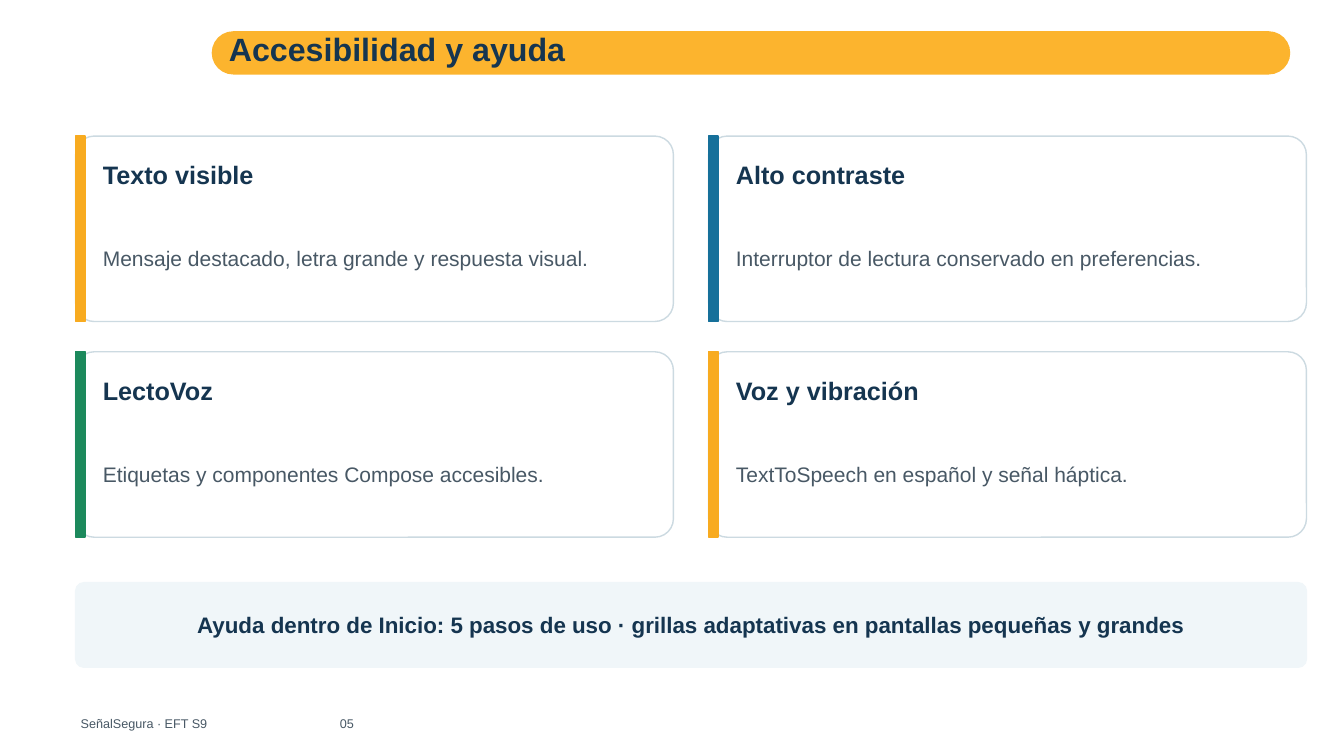
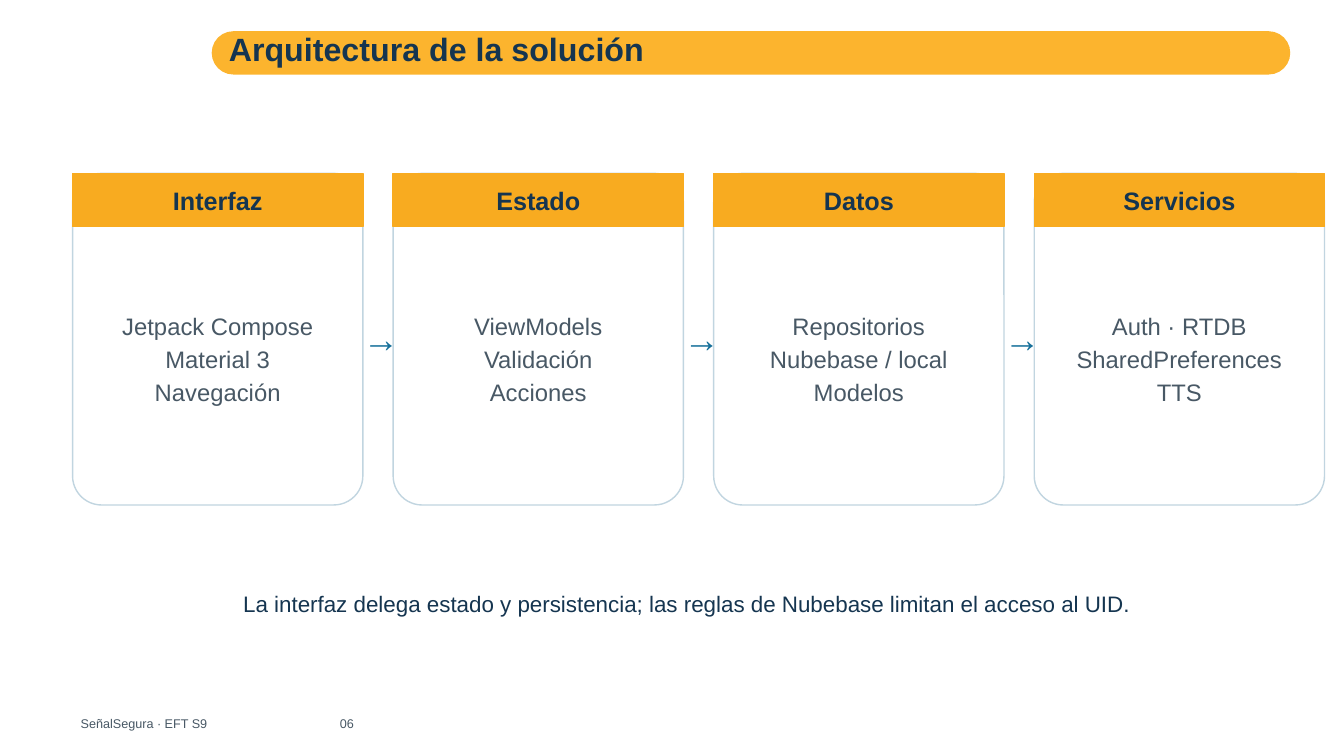
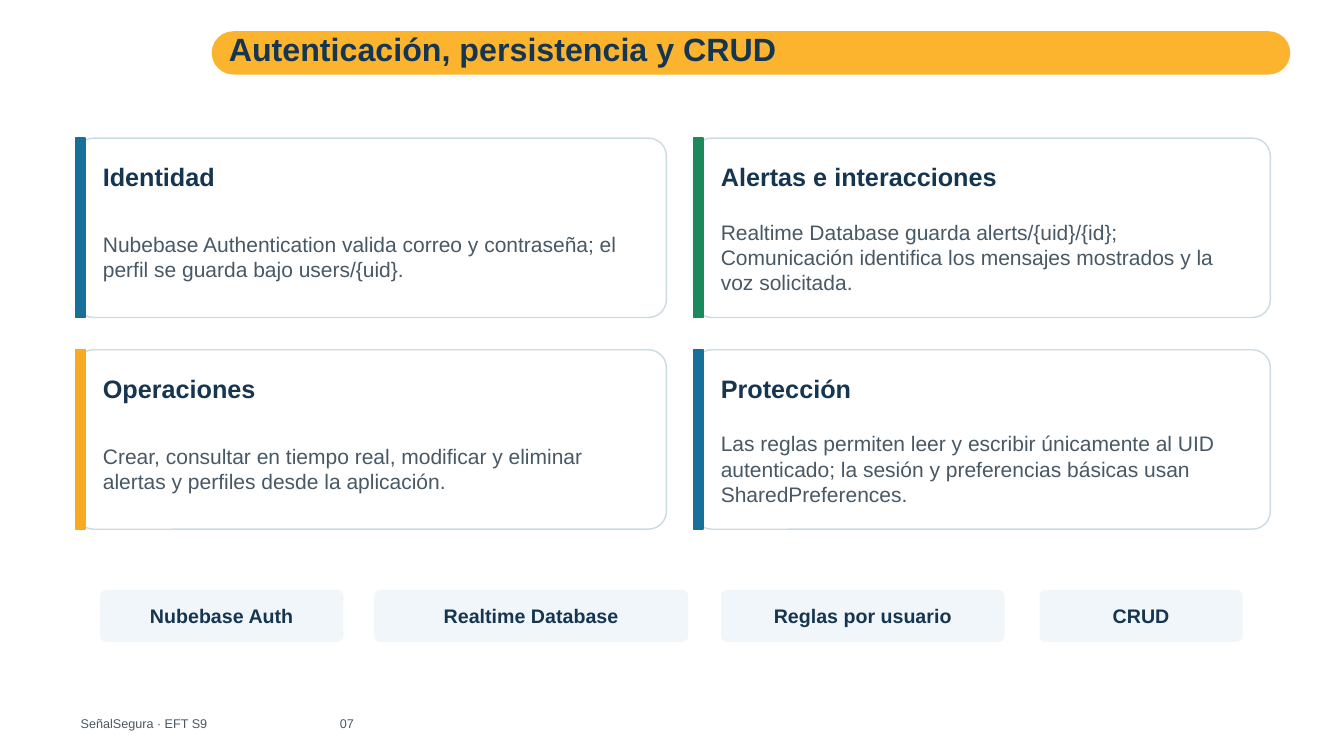
from pptx import Presentation
from pptx.dml.color import RGBColor
from pptx.enum.shapes import MSO_SHAPE
from pptx.enum.text import MSO_ANCHOR, PP_ALIGN
from pptx.oxml.ns import qn
from pptx.util import Inches, Pt
from lxml import etree

RECT, ROUND = MSO_SHAPE.RECTANGLE, MSO_SHAPE.ROUNDED_RECTANGLE
LEFT, CENTER = PP_ALIGN.LEFT, PP_ALIGN.CENTER
MIDDLE = MSO_ANCHOR.MIDDLE

COLORS = {
    "navy": "153550", "gray": "485865", "white": "FFFFFF",
    "band": "FCB42E", "amber": "F8AB20", "blue": "16709A",
    "green": "1C895C", "pale": "F0F6F9",
    "card_line": "CCDAE1", "layer_line": "C1D5E0",
}
FONT = "Arial"
FOOTER = "SeñalSegura · EFT S9"
MARGIN = 5.63  # left edge of the content


class Deck:
    """Style and current slide; lengths are percentages of the slide's size."""

    def __init__(self):
        self.prs = Presentation()
        self.prs.slide_width = Inches(13.33)
        self.prs.slide_height = Inches(7.5)
        self.s = None

    def box(self, x, y, w, h):
        col, row = self.prs.slide_width / 100, self.prs.slide_height / 100
        return [round(v) for v in (x * col, y * row, w * col, h * row)]

    def fill_text(self, sp, lines, size, color, bold=False, align=LEFT):
        tf = sp.text_frame
        tf.word_wrap = True
        tf.vertical_anchor = MIDDLE
        tf.margin_left = tf.margin_right = Inches(0.05)
        tf.margin_top = tf.margin_bottom = Inches(0.05)
        for i, line in enumerate(lines):
            p = tf.add_paragraph() if i else tf.paragraphs[0]
            p.alignment = align
            p.space_after = Pt(3)
            r = p.add_run()
            r.text = line
            r.font.name, r.font.size, r.font.bold = FONT, Pt(size), bold
            r.font.color.rgb = RGBColor.from_string(COLORS[color])
        return tf

    def text(self, x, y, w, h, lines, size, color, bold=False, align=LEFT):
        sp = self.s.shapes.add_textbox(*self.box(x, y, w, h))
        return self.fill_text(sp, lines, size, color, bold, align)

    def shape(self, kind, x, y, w, h, fill, line=None, radius=0.1):
        sp = self.s.shapes.add_shape(kind, *self.box(x, y, w, h))
        sp.shadow.inherit = False
        if kind == ROUND:
            sp.adjustments[0] = radius
        sp.fill.solid()
        sp.fill.fore_color.rgb = RGBColor.from_string(COLORS[fill])
        if line:
            sp.line.color.rgb = RGBColor.from_string(COLORS[line])
            sp.line.width = Pt(1)
        else:
            sp.line.fill.background()
        return sp

    def slide(self, title, number):
        """Start a slide with its title band and footer."""
        self.s = self.prs.slides.add_slide(self.prs.slide_layouts[6])
        self.shape(ROUND, 15.75, 4.13, 80.25, 5.73, "band", radius=0.5)
        self.text(16.65, 2.8, 74.25, 7.33, [title], 23, "navy", bold=True)
        tf = self.text(MARGIN, 94.27, 89.25, 2.93,
                       [f"{FOOTER}\t{number}"], 9, "gray")
        tabs = etree.SubElement(tf.paragraphs[0]._p.get_or_add_pPr(), qn("a:tabLst"))
        etree.SubElement(tabs, qn("a:tab"), pos=str(Inches(2.57)), algn="l")

    def card(self, x, y, w, h, accent, title, body):
        self.shape(ROUND, x, y, w, h, "white", "card_line")
        self.shape(RECT, x, y, 0.7, h, accent, accent)
        self.text(x + 1.65, y + 2.13, w - 3, 6, [title], 18, "navy", bold=True)
        self.text(x + 1.65, y + 9.2, w - 3.15, h - 10.67, [body], 15, "gray")

    def card_grid(self, columns, tops, h, cards):
        """Fill the grid row by row; columns are (left, width) pairs."""
        cells = [(x, y, w) for y in tops for x, w in columns]
        for (x, y, w), card in zip(cells, cards):
            self.card(x, y, w, h, *card)

    def pill(self, x, y, w, h, label, size):
        sp = self.shape(ROUND, x, y, w, h, "pale", "pale")
        self.fill_text(sp, [label], size, "navy", bold=True, align=CENTER)

    def layer(self, x, title, lines):
        y, w = 22.93, 21.6
        self.shape(ROUND, x, y, w, 43.87, "white", "layer_line")
        head = self.shape(RECT, x, y, w, 7.07, "amber", "amber")
        self.fill_text(head, [title], 18, "navy", bold=True, align=CENTER)
        self.text(x + 1.8, 33.07, w - 3.6, 28.8, lines, 17, "gray", align=CENTER)

    def arrow(self, x):
        self.text(x, 41.33, 2.85, 6.67, ["→"], 26, "blue", bold=True, align=CENTER)


def accessibility(d):
    d.slide("Accesibilidad y ayuda", "05")
    d.card_grid([(MARGIN, 44.48), (52.73, 44.48)], [18, 46.53], 24.53, [
        ("amber", "Texto visible",
         "Mensaje destacado, letra grande y respuesta visual."),
        ("blue", "Alto contraste",
         "Interruptor de lectura conservado en preferencias."),
        ("green", "LectoVoz", "Etiquetas y componentes Compose accesibles."),
        ("amber", "Voz y vibración", "TextToSpeech en español y señal háptica."),
    ])
    d.pill(MARGIN, 77.07, 91.58, 11.2,
           "Ayuda dentro de Inicio: 5 pasos de uso · grillas adaptativas "
           "en pantallas pequeñas y grandes", 16)


def architecture(d):
    d.slide("Arquitectura de la solución", "06")
    layers = [
        ("Interfaz", ["Jetpack Compose", "Material 3", "Navegación"]),
        ("Estado", ["ViewModels", "Validación", "Acciones"]),
        ("Datos", ["Repositorios", "Nubebase / local", "Modelos"]),
        ("Servicios", ["Auth · RTDB", "SharedPreferences", "TTS"]),
    ]
    for i, (title, lines) in enumerate(layers):
        x = 5.4 + 23.85 * i
        if i:
            d.arrow(x - 2.62)
        d.layer(x, title, lines)
    d.text(6.53, 74.4, 89.13, 10.8,
           ["La interfaz delega estado y persistencia; las reglas de Nubebase "
            "limitan el acceso al UID."], 16, "navy", align=CENTER)


def persistence(d):
    d.slide("Autenticación, persistencia y CRUD", "07")
    d.card_grid([(MARGIN, 43.96), (51.61, 42.91)], [18.27, 46.27], 23.73, [
        ("blue", "Identidad",
         "Nubebase Authentication valida correo y contraseña; el perfil "
         "se guarda bajo users/{uid}."),
        ("green", "Alertas e interacciones",
         "Realtime Database guarda alerts/{uid}/{id}; Comunicación identifica "
         "los mensajes mostrados y la voz solicitada."),
        ("amber", "Operaciones",
         "Crear, consultar en tiempo real, modificar y eliminar alertas y "
         "perfiles desde la aplicación."),
        ("blue", "Protección",
         "Las reglas permiten leer y escribir únicamente al UID autenticado; "
         "la sesión y preferencias básicas usan SharedPreferences."),
    ])
    # Row of key terms
    for x, w, label in [(7.5, 18, "Nubebase Auth"),
                        (27.9, 23.25, "Realtime Database"),
                        (53.7, 21, "Reglas por usuario"),
                        (77.4, 15, "CRUD")]:
        d.pill(x, 78.13, w, 6.67, label, 14)


def main():
    d = Deck()
    for build in (accessibility, architecture, persistence):
        build(d)
    d.prs.save("out.pptx")


if __name__ == "__main__":
    main()
